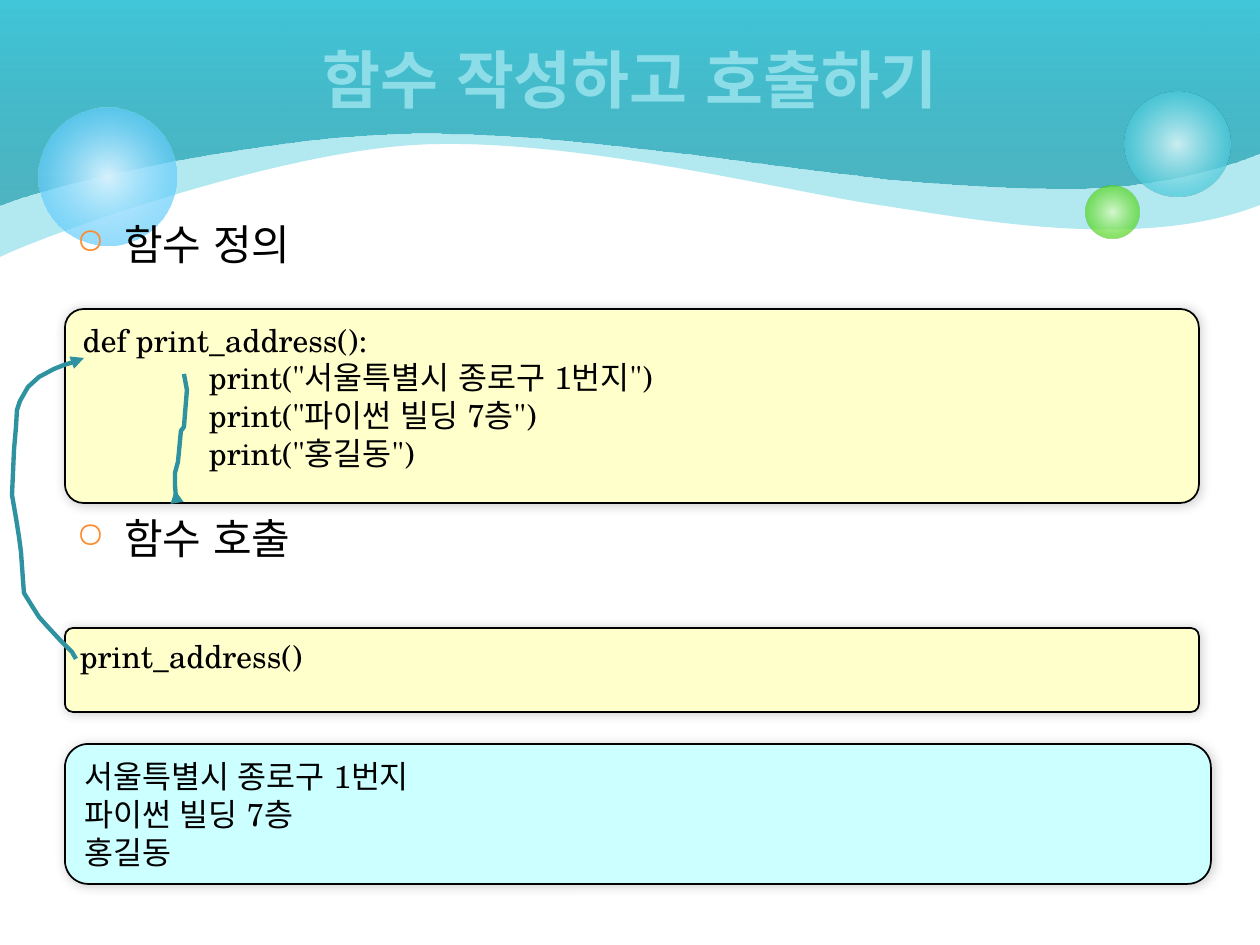
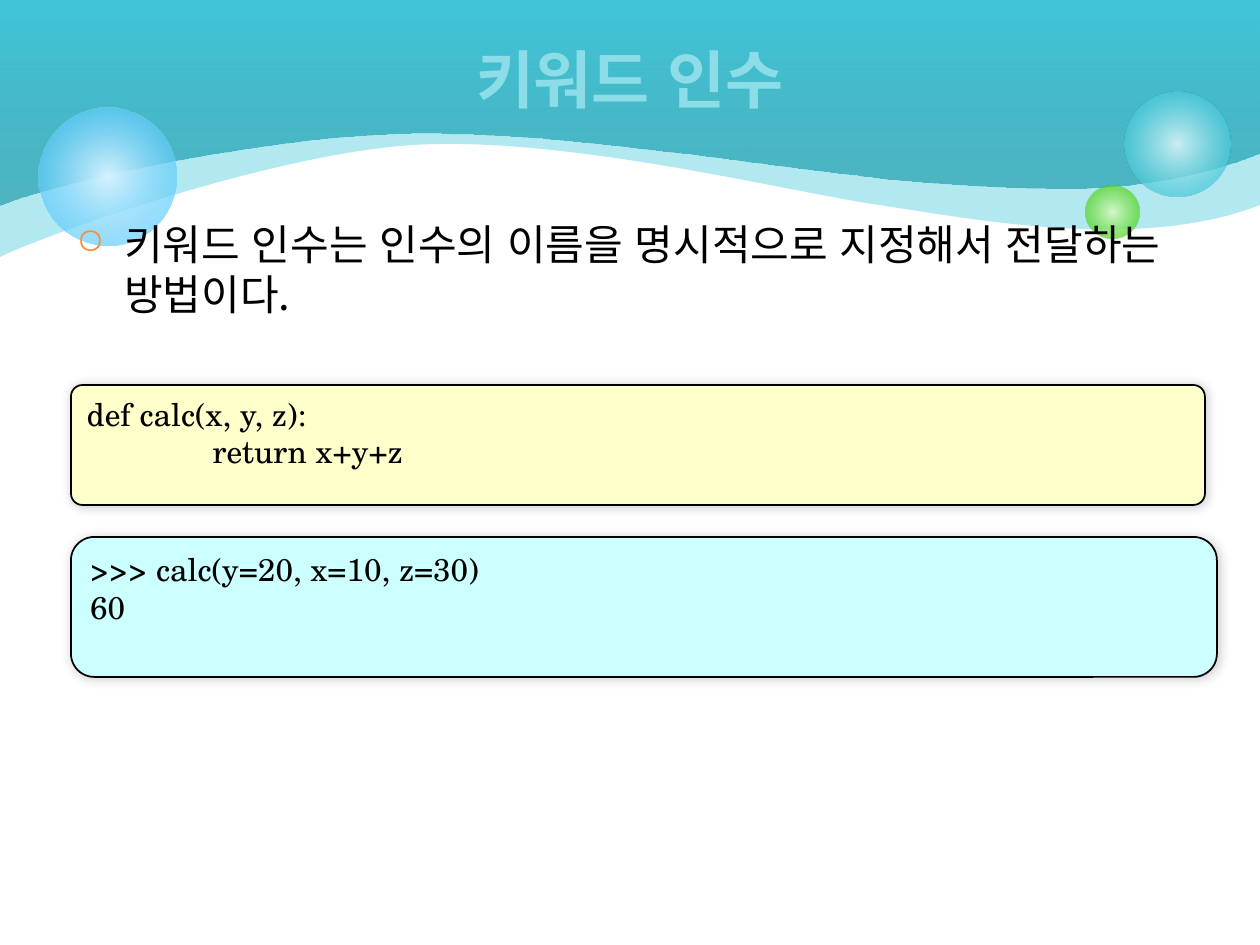
from lxml.etree import SubElement
from pptx import Presentation
from pptx.dml.color import RGBColor
from pptx.enum.shapes import MSO_SHAPE as Preset
from pptx.enum.text import MSO_ANCHOR as Anchor, PP_ALIGN as Align
from pptx.oxml import parse_xml
from pptx.oxml.ns import nsdecls, qn
from pptx.util import Pt

PX = 914400 / 126
WIDTH, HEIGHT = 1260, 945
CODE_INDENT = 126
BULLET_INDENT = 48

COLORS = {
    "title": "8CDDE8", "text": "000000", "bullet": "FE8C2E", "arrow": "2F92A0",
    "code": "FFFFCC", "output": "CCFFFF", "border": "000000", "shadow": "000000",
    "teal": "40C6D8", "deep_teal": "249EAE", "pale_teal": "D9F4F7",
    "green": "4CD416", "pale_green": "DAFACD",
    "blue": "33BDFB", "pale_blue": "D6F2FE",
}
BODY_FONT = "Noto Sans CJK KR"
CODE_FONT = "TeX Gyre Schola"
BULLET_FONT = "OpenSymbol"

WAVES = [
    {"start": (0, 257),
     "curves": [((42, 236), (270, 154), (413, 145)),
                ((558, 136), (764, 186), (866, 203)),
                ((968, 218), (1137, 253), (1260, 205))],
     "stops": [(0, "teal", 40), (100, "teal", 40)]},
    {"start": (0, 205),
     "curves": [((57, 182), (256, 137), (411, 133)),
                ((566, 129), (829, 176), (929, 182)),
                ((1028, 188), (1137, 201), (1260, 153))],
     "stops": [(0, "deep_teal", 69), (100, "teal", 100)]},
]
BUBBLES = [
    {"at": (1125, 92), "size": 105, "stops": [(0, "pale_teal", 90), (76, "teal", 70)]},
    {"at": (1086, 186), "size": 53, "stops": [(0, "pale_green", 90), (76, "green", 70)]},
    {"at": (39, 108), "size": 138, "stops": [(0, "pale_blue", 100), (100, "blue", 54)]},
]

CALL_ARROW = [
    (76, 659), (72, 652), (60, 640), (47, 626), (39, 617), (32, 606), (24, 593),
    (23, 580), (21, 552), (19, 537), (16, 518), (12, 495), (14, 450), (16, 427),
    (17, 410), (20, 401), (28, 387), (39, 377), (54, 369), (64, 365), (74, 362),
    (84, 358),
]
BODY_ARROW = [
    (184, 374), (187, 390), (184, 427), (181, 431), (179, 452), (178, 462),
    (175, 473), (175, 485), (176, 498), (177, 502), (175, 490),
]

SLIDES = [
    {"title": "함수 작성하고 호출하기",
     "bullets": [(212, "함수 정의"), (506, "함수 호출")],
     "panels": [
         ("code", (65, 309, 1134, 194), [
             "def print_address():",
             '\tprint("서울특별시 종로구 1번지")',
             '\tprint("파이썬 빌딩 7층")',
             '\tprint("홍길동")']),
         ("code", (65, 628, 1134, 84), ["print_address()"]),
         ("output", (65, 744, 1146, 140), ["서울특별시 종로구 1번지", "파이썬 빌딩 7층", "홍길동"])],
     "arrows": [CALL_ARROW, BODY_ARROW]},
    {"title": "키워드 인수",
     "bullets": [(212, "키워드 인수는 인수의 이름을 명시적으로 지정해서 전달하는 방법이다.")],
     "panels": [
         ("code", (71, 385, 1134, 120), ["def calc(x, y, z):", "\treturn x+y+z"]),
         ("output", (71, 537, 1146, 140), [">>> calc(y=20, x=10, z=30)", "60"])],
     "arrows": []},
]


def emu(*lengths):
    return [round(length * PX) for length in lengths]


def rgb(name):
    return RGBColor.from_string(COLORS[name])


def write_text(shape, lines, font=BODY_FONT, size=18, color="text", bold=False,
               align=Align.LEFT, anchor=Anchor.TOP):
    frame = shape.text_frame
    frame.word_wrap = True
    frame.vertical_anchor = anchor
    for index, line in enumerate(lines):
        paragraph = frame.paragraphs[0] if index == 0 else frame.add_paragraph()
        paragraph.alignment = align
        if line.startswith("\t"):
            paragraph._p.get_or_add_pPr().set("marL", str(emu(CODE_INDENT)[0]))
        run = paragraph.add_run()
        run.text = line.lstrip("\t")
        run.font.name, run.font.size, run.font.bold = font, Pt(size), bold
        run.font.color.rgb = rgb(color)
        SubElement(run.font._element, qn("a:ea"), typeface=CODE_FONT)


def paint_gradient(shape, stops, direction):
    shape.fill.background()
    stop_xml = "".join(
        f'<a:gs pos="{position * 1000}"><a:srgbClr val="{COLORS[color]}">'
        f'<a:alpha val="{opacity * 1000}"/></a:srgbClr></a:gs>'
        for position, color, opacity in stops)
    properties = shape._element.spPr
    properties.replace(properties.find(qn("a:noFill")), parse_xml(
        f'<a:gradFill {nsdecls("a")} rotWithShape="1">'
        f"<a:gsLst>{stop_xml}</a:gsLst>{direction}</a:gradFill>"))
    shape.line.fill.background()
    shape.shadow.inherit = False


def add_outline(slide, points, close):
    start, *rest = [emu(*point) for point in points]
    builder = slide.shapes.build_freeform(*start)
    builder.add_line_segments(rest, close=close)
    return builder.convert_to_shape()


def add_wave(slide, start, curves, stops):
    ends = [curve[-1] for curve in curves]
    shape = add_outline(slide, [start, *ends, (WIDTH, 0), (0, 0)], close=True)
    segments = list(shape._element.spPr.iter(qn("a:lnTo")))
    for segment, curve in zip(segments, curves):
        bezier = parse_xml(f'<a:cubicBezTo {nsdecls("a")}/>')
        for point in curve:
            x, y = emu(*point)
            SubElement(bezier, qn("a:pt"), x=str(x), y=str(y))
        segment.getparent().replace(segment, bezier)
    paint_gradient(shape, stops, '<a:lin ang="16200000" scaled="0"/>')


def add_backdrop(slide):
    for wave in WAVES:
        add_wave(slide, **wave)
    center = '<a:path path="circle"><a:fillToRect l="50000" t="50000" r="50000" b="50000"/></a:path>'
    for bubble in BUBBLES:
        size = bubble["size"]
        shape = slide.shapes.add_shape(Preset.OVAL, *emu(*bubble["at"], size, size))
        paint_gradient(shape, bubble["stops"], center)


def add_bullet(slide, top, text):
    box = slide.shapes.add_textbox(*emu(64, top, 1134, 64))
    write_text(box, [text], size=24)
    properties = box.text_frame.paragraphs[0]._p.get_or_add_pPr()
    indent = emu(BULLET_INDENT)[0]
    properties.set("marL", str(indent))
    properties.set("indent", str(-indent))
    bullet_color = SubElement(properties, qn("a:buClr"))
    SubElement(bullet_color, qn("a:srgbClr"), val=COLORS["bullet"])
    SubElement(properties, qn("a:buSzPct"), val="85000")
    SubElement(properties, qn("a:buFont"), typeface=BULLET_FONT)
    SubElement(properties, qn("a:buChar"), char="○")


def add_title(slide, text):
    box = slide.shapes.add_textbox(*emu(63, 0, 1134, 156))
    write_text(box, [text], size=36, color="title", bold=True,
               align=Align.CENTER, anchor=Anchor.MIDDLE)


def add_panel(slide, kind, bounds, lines):
    preset = Preset.ROUNDED_RECTANGLE if kind == "code" else Preset.FLOWCHART_ALTERNATE_PROCESS
    shape = slide.shapes.add_shape(preset, *emu(*bounds))
    if kind == "code":
        shape.adjustments[0] = 0.096
    shape.fill.solid()
    shape.fill.fore_color.rgb = rgb(kind)
    shape.line.color.rgb = rgb("border")
    shape.line.width = Pt(1)
    shape.shadow.inherit = False
    shape._element.spPr.find(qn("a:effectLst")).append(parse_xml(
        f'<a:outerShdw {nsdecls("a")} blurRad="{Pt(6)}" dist="0" dir="18900000">'
        f'<a:srgbClr val="{COLORS["shadow"]}"><a:alpha val="20000"/></a:srgbClr></a:outerShdw>'))
    write_text(shape, lines, font=CODE_FONT)


def add_arrow(slide, points):
    shape = add_outline(slide, points, close=False)
    shape.fill.background()
    shape.line.color.rgb = rgb("arrow")
    shape.line.width = Pt(2.5)
    shape.shadow.inherit = False
    SubElement(shape.line._get_or_add_ln(), qn("a:tailEnd"), type="triangle")


def main():
    presentation = Presentation()
    presentation.slide_width, presentation.slide_height = emu(WIDTH, HEIGHT)
    for content in SLIDES:
        slide = presentation.slides.add_slide(presentation.slide_layouts[6])
        add_backdrop(slide)
        for top, text in content["bullets"]:
            add_bullet(slide, top, text)
        add_title(slide, content["title"])
        for panel in content["panels"]:
            add_panel(slide, *panel)
        for points in content["arrows"]:
            add_arrow(slide, points)
    presentation.save("out.pptx")


if __name__ == "__main__":
    main()
